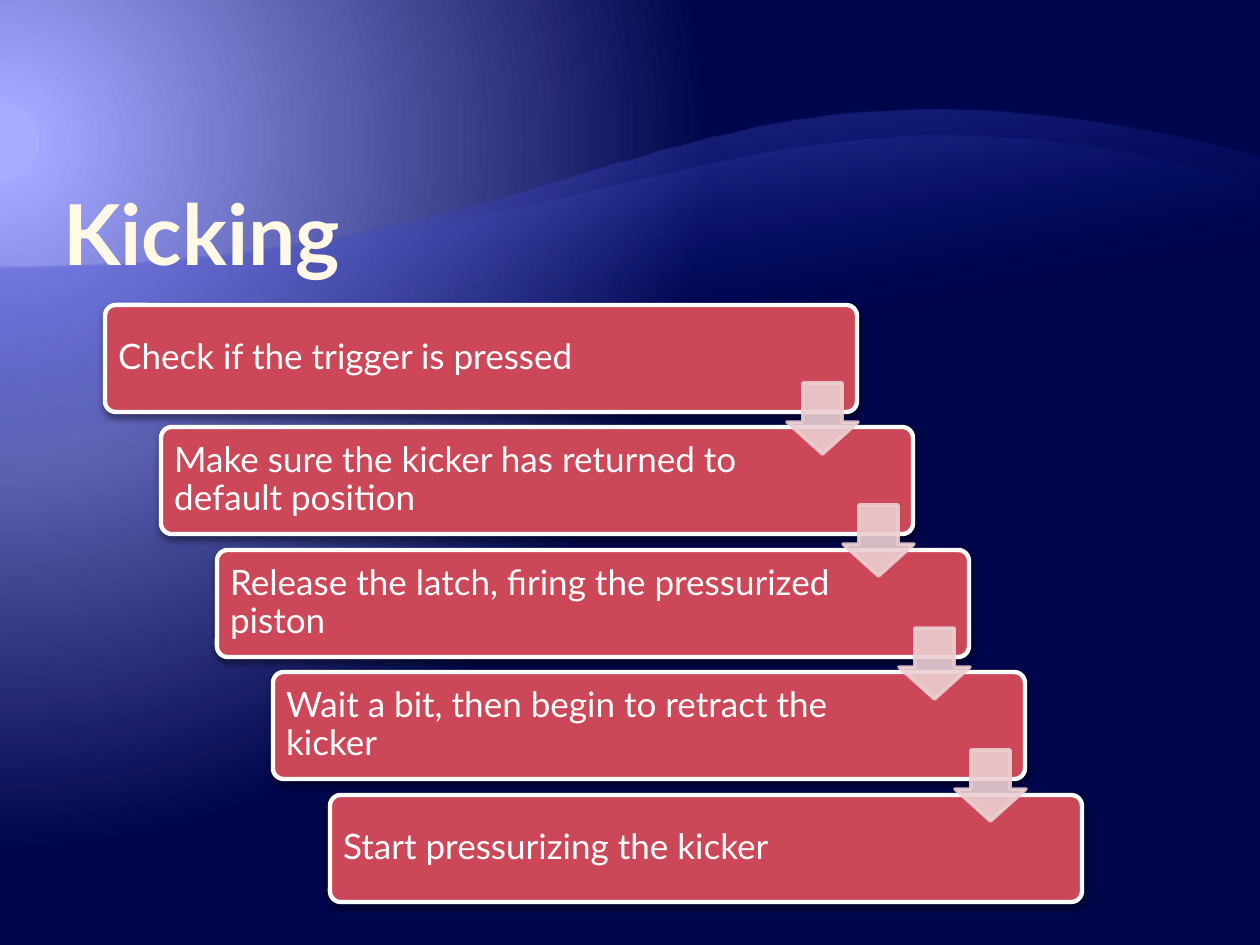
"""Builds the "Kicking" slide: a staircase of five steps on a blue wave background."""
from dataclasses import dataclass

from lxml import etree
from pptx import Presentation
from pptx.dml.color import RGBColor
from pptx.enum.shapes import MSO_SHAPE as SHAPE
from pptx.enum.text import MSO_ANCHOR as ANCHOR, PP_ALIGN as ALIGN
from pptx.oxml import parse_xml
from pptx.oxml.ns import nsdecls, qn
from pptx.util import Pt

PX = 914400 / 126
WIDTH, HEIGHT = 1260, 945
STEPS = [
    "Check if the trigger is pressed",
    "Make sure the kicker has returned to default position",
    "Release the latch, firing the pressurized piston",
    "Wait a bit, then begin to retract the kicker",
    "Start pressurizing the kicker",
]
WAVES = [
    ([(0, 268), (630, 268), (673, 6), (1260, 157)], 924, "797FFF", 55),
    ([(0, 268), (630, 268), (753, 39), (1260, 185)], 803, "A3A7FF", 30),
]


@dataclass(frozen=True)
class Theme:
    font: str = "Lato"
    title: str = "FFF9E5"
    text: str = "FFFFFF"
    box: str = "CC4757"
    arrow: str = "ECCFD1"
    wave_end: str = "000D9E"
    glow: tuple = ((5, "A8ACFF"), (5, "A3A7FF"), (90, "00064B"))
    title_size: int = 48
    text_size: int = 20


THEME = Theme()


def px(n):
    """Turn pixels into EMU."""
    return round(n * PX)


def grad_xml(stops, shade):
    """Return a gradient fill from (position, colour, alpha) stops."""
    items = "".join(
        f'<a:gs pos="{pos * 1000}"><a:srgbClr val="{color}">'
        f'<a:alpha val="{alpha * 1000}"/></a:srgbClr></a:gs>'
        for pos, color, alpha in stops)
    return (f'<a:gradFill {nsdecls("a")} rotWithShape="1">'
            f'<a:gsLst>{items}</a:gsLst>{shade}</a:gradFill>')


def set_background(slide):
    """Fill the background with a round glow."""
    fill = slide.background.fill
    fill.solid()
    bg_pr = slide.background._cSld.bg.bgPr
    shade = ('<a:path path="circle"><a:fillToRect l="20000" t="30000" '
             'r="135000" b="100000"/></a:path>')
    stops = [(pos, color, 100) for pos, color in THEME.glow]
    bg_pr.replace(bg_pr.find(qn("a:solidFill")), parse_xml(grad_xml(stops, shade)))


def bezier(points, t):
    """Return the point at t on a cubic curve."""
    weights = ((1 - t) ** 3, 3 * t * (1 - t) ** 2, 3 * t * t * (1 - t), t ** 3)
    return tuple(round(sum(w * p[axis] for w, p in zip(weights, points)), 2)
                 for axis in (0, 1))


def add_wave(slide, curve, bottom, color, alpha):
    """Add a translucent area below a curve."""
    outline = [bezier(curve, i / 60) for i in range(61)]
    builder = slide.shapes.build_freeform(*outline[0], scale=PX)
    builder.add_line_segments(outline[1:] + [(WIDTH, bottom), (0, bottom)])
    sp = builder.convert_to_shape()
    sp.shadow.inherit = False
    sp.line.fill.background()
    sp.fill.solid()
    sp_pr = sp._element.spPr
    stops = [(0, color, alpha), (35, THEME.wave_end, 0), (100, THEME.wave_end, 0)]
    shade = '<a:lin ang="4800000" scaled="0"/>'
    sp_pr.replace(sp_pr.find(qn("a:solidFill")), parse_xml(grad_xml(stops, shade)))


def style_text(tf, text, size, color, bold=False):
    """Set one left-aligned paragraph and its font."""
    tf.text = text
    tf.word_wrap = True
    p = tf.paragraphs[0]
    p.alignment = ALIGN.LEFT
    font = p.runs[0].font
    font.name, font.size, font.bold = THEME.font, Pt(size), bold
    font.color.rgb = RGBColor.from_string(color)
    return p


def set_margins(tf, left, top, right, bottom):
    """Set the insets of a text frame in pixels."""
    tf.margin_left, tf.margin_top = px(left), px(top)
    tf.margin_right, tf.margin_bottom = px(right), px(bottom)


def add_title(slide, text):
    """Fill the title placeholder and bring it in front of the waves."""
    sp = slide.shapes.title
    sp.left, sp.top, sp.width, sp.height = px(63), px(73), px(1134), px(210)
    style_text(sp.text_frame, text, THEME.title_size, THEME.title, bold=True)
    sp.text_frame.vertical_anchor = ANCHOR.BOTTOM
    set_margins(sp.text_frame, 0, 1, 0, 1)
    slide.shapes._spTree.append(sp._element)


def add_preset(slide, kind, box, adjustments, fill, line, line_width):
    """Add a filled and outlined preset shape."""
    sp = slide.shapes.add_shape(kind, *map(px, box))
    sp.shadow.inherit = False
    for i, value in enumerate(adjustments):
        sp.adjustments[i] = value
    sp.fill.solid()
    sp.fill.fore_color.rgb = RGBColor.from_string(fill)
    sp.line.color.rgb = RGBColor.from_string(line)
    sp.line.width = Pt(line_width)
    return sp


def add_step(slide, i, text):
    """Add one step box of the staircase."""
    box = (105 + 225 * i // 4, 305 + 490 * i // 4, 752, 107)
    sp = add_preset(slide, SHAPE.ROUNDED_RECTANGLE, box, [0.1],
                    THEME.box, THEME.text, 2.5)
    effects = sp._element.spPr.find(qn("a:effectLst"))
    effects.append(parse_xml(
        f'<a:outerShdw {nsdecls("a")} blurRad="{Pt(4)}" dist="{Pt(2)}" '
        'dir="5400000" rotWithShape="0"><a:srgbClr val="000000">'
        '<a:alpha val="43000"/></a:srgbClr></a:outerShdw>'))
    tf = sp.text_frame
    p = style_text(tf, text, THEME.text_size, THEME.text)
    p.line_spacing = 0.9
    tf.vertical_anchor = ANCHOR.MIDDLE
    set_margins(tf, 10, 10, 134, 10)


def add_arrow(slide, i):
    """Add the arrow from one step to the next."""
    box = (787 + 225 * i // 4, 383 + 490 * i // 4, 71, 71)
    sp = add_preset(slide, SHAPE.DOWN_ARROW, box, [0.55, 0.45],
                    THEME.arrow, THEME.arrow, 2)
    for color in sp._element.spPr.iter(qn("a:srgbClr")):
        etree.SubElement(color, qn("a:alpha")).set("val", "90000")


def main():
    """Build and save the slide."""
    prs = Presentation()
    prs.slide_width, prs.slide_height = px(WIDTH), px(HEIGHT)
    slide = prs.slides.add_slide(prs.slide_layouts[5])
    set_background(slide)
    for wave in WAVES:
        add_wave(slide, *wave)
    add_title(slide, "Kicking")
    for i, text in enumerate(STEPS):
        add_step(slide, i, text)
    for i in range(len(STEPS) - 1):
        add_arrow(slide, i)
    prs.save("out.pptx")


main()
